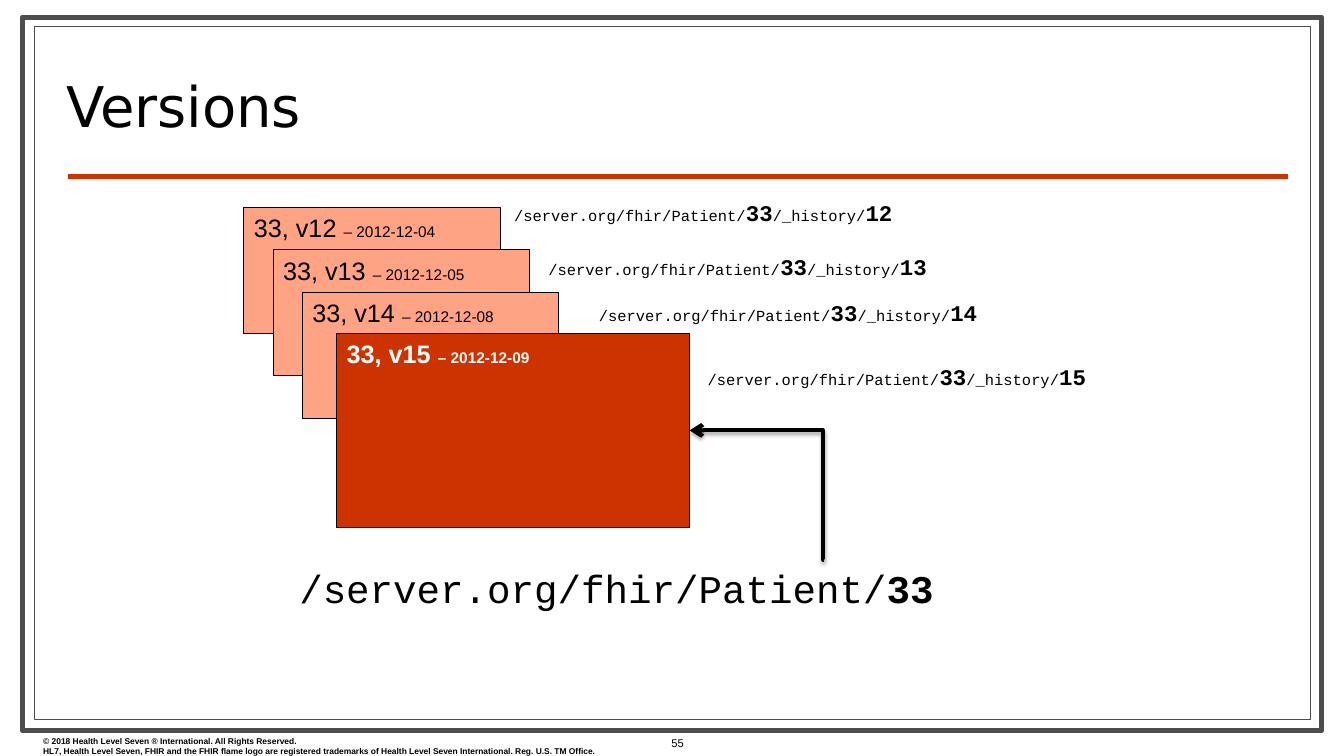
from dataclasses import dataclass

from pptx import Presentation
from pptx.dml.color import RGBColor
from pptx.enum.shapes import MSO_CONNECTOR as Connector, MSO_SHAPE as Shape
from pptx.enum.text import MSO_ANCHOR as Anchor, MSO_AUTO_SIZE as AutoSize, PP_ALIGN as Align
from pptx.oxml import parse_xml
from pptx.oxml.ns import nsdecls, qn
from pptx.util import Inches, Pt


@dataclass(frozen=True)
class Theme:
    white: str = "FFFFFF"
    black: str = "000000"
    frame: str = "4D4D4D"
    accent: str = "CC3300"
    pale: str = "FFA385"
    sans: str = "Arial"
    mono: str = "Courier New"
    heading: str = "DejaVu Sans"
    title: int = 40
    address: int = 28
    version: int = 18
    number: int = 16
    small: int = 11
    page_number: int = 8
    legal: int = 6


THEME = Theme()
SERVER = "/server.org/fhir/Patient/"
PATIENT = "33"
LEGAL = (
    "© 2018 Health Level Seven ® International. All Rights Reserved.",
    "HL7, Health Level Seven, FHIR and the FHIR flame logo are registered trademarks "
    "of Health Level Seven International. Reg. U.S. TM Office.",
)
OLD_VERSIONS = (
    ("12", "2012-12-04", 5, 1.93),
    ("13", "2012-12-05", 5.34, 2.46),
    ("14", "2012-12-08", 5.84, 2.92),
)


def add_run(para, text, size, font=THEME.sans, color=THEME.black, bold=False):
    run = para.add_run()
    run.text = text
    run.font.name = font
    run.font.size = Pt(size)
    run.font.bold = bold
    run.font.color.rgb = RGBColor.from_string(color)


def add_text_box(page, left, top, width, height, anchor=Anchor.TOP, grow=False):
    box = page.shapes.add_textbox(Inches(left), Inches(top), Inches(width), Inches(height))
    frame = box.text_frame
    frame.word_wrap = True
    frame.vertical_anchor = anchor
    frame.auto_size = AutoSize.SHAPE_TO_FIT_TEXT if grow else AutoSize.NONE
    return frame


def add_rectangle(page, left, top, width, height, fill, line, weight):
    box = page.shapes.add_shape(
        Shape.RECTANGLE, Inches(left), Inches(top), Inches(width), Inches(height))
    box.shadow.inherit = False
    box.fill.solid()
    box.fill.fore_color.rgb = RGBColor.from_string(fill)
    box.line.color.rgb = RGBColor.from_string(line)
    box.line.width = Pt(weight)
    return box


def add_line(page, kind, start, end, color, effects=""):
    line = page.shapes.add_connector(kind, *map(Inches, start + end))
    line.line.color.rgb = RGBColor.from_string(color)
    line.line.width = Pt(3)
    line._element.spPr.append(
        parse_xml(f'<a:effectLst {nsdecls("a")}>{effects}</a:effectLst>'))
    return line


def add_version(page, left, top, width, height, version, date, fill, color, bold=False):
    card = add_rectangle(page, left, top, width, height, fill, THEME.black, 0.75)
    frame = card.text_frame
    frame.word_wrap = True
    frame.vertical_anchor = Anchor.TOP
    para = frame.paragraphs[0]
    para.alignment = Align.LEFT
    add_run(para, f"{PATIENT}, v{version} ", THEME.version, color=color, bold=bold)
    add_run(para, f"– {date}", THEME.small, color=color, bold=bold)


def add_history_address(page, left, top, version):
    para = add_text_box(page, left, top, 4.75, 0.37, grow=True).paragraphs[0]
    for text, strong in ((SERVER, False), (PATIENT, True), ("/_history/", False), (version, True)):
        size = THEME.number if strong else THEME.small
        add_run(para, text, size, THEME.mono, bold=strong)


def add_current_address(page):
    para = add_text_box(page, 2.87, 5.55, 6.88, 0.57, grow=True).paragraphs[0]
    add_run(para, SERVER, THEME.address, THEME.mono)
    add_run(para, PATIENT, THEME.address, THEME.mono, bold=True)


def add_elbow_arrow(page, start, end):
    shadow = (
        f'<a:outerShdw blurRad="{Pt(3.1)}" dist="{Pt(1.8)}" dir="5400000" rotWithShape="0">'
        f'<a:srgbClr val="{THEME.black}"><a:alpha val="35000"/></a:srgbClr></a:outerShdw>')
    arrow = add_line(page, Connector.ELBOW, start, end, THEME.black, shadow)
    properties = arrow._element.spPr
    properties.find(qn("a:ln")).append(parse_xml(f'<a:tailEnd {nsdecls("a")} type="arrow"/>'))
    bend = parse_xml(f'<a:gd {nsdecls("a")} name="adj1" fmla="val 800"/>')
    properties.find(qn("a:prstGeom")).get_or_add_avLst().append(bend)


def add_page_frame(page):
    add_rectangle(page, 0.22, 0.17, 12.89, 7.08, THEME.white, THEME.frame, 3.5)
    add_rectangle(page, 0.34, 0.26, 12.66, 6.88, THEME.white, THEME.frame, 0.75)
    add_line(page, Connector.STRAIGHT, (0.67, 1.75), (12.77, 1.75), THEME.accent)


def add_footer(page):
    frame = add_text_box(page, 0.33, 7.25, 6.44, 0.3, grow=True)
    for index, text in enumerate(LEGAL):
        para = frame.add_paragraph() if index else frame.paragraphs[0]
        add_run(para, text, THEME.legal, bold=True)
    para = add_text_box(page, 6.33, 7.25, 0.78, 0.25, Anchor.MIDDLE).paragraphs[0]
    para.alignment = Align.CENTER
    add_run(para, "55", THEME.page_number)


def add_title(page, text):
    para = add_text_box(page, 0.56, 0.52, 10.2, 0.9, Anchor.BOTTOM).paragraphs[0]
    para.line_spacing = 0.8
    add_run(para, text, THEME.title, THEME.heading)


def main():
    deck = Presentation()
    deck.slide_width = Inches(13.33)
    deck.slide_height = Inches(7.5)
    page = deck.slides.add_slide(deck.slide_layouts[6])

    add_page_frame(page)
    add_footer(page)
    add_title(page, "Versions")

    for index, (version, date, left, top) in enumerate(OLD_VERSIONS):
        add_version(page, 2.42 + 0.29 * index, 2.06 + 0.42 * index, 2.54, 1.25,
                    version, date, THEME.pale, THEME.black)
        add_history_address(page, left, top, version)
    add_version(page, 3.34, 3.31, 3.5, 1.92, "15", "2012-12-09",
                THEME.accent, THEME.white, bold=True)
    add_history_address(page, 6.92, 3.55, "15")

    add_current_address(page)
    add_elbow_arrow(page, (8.17, 5.55), (6.84, 4.27))
    deck.save("out.pptx")


if __name__ == "__main__":
    main()
